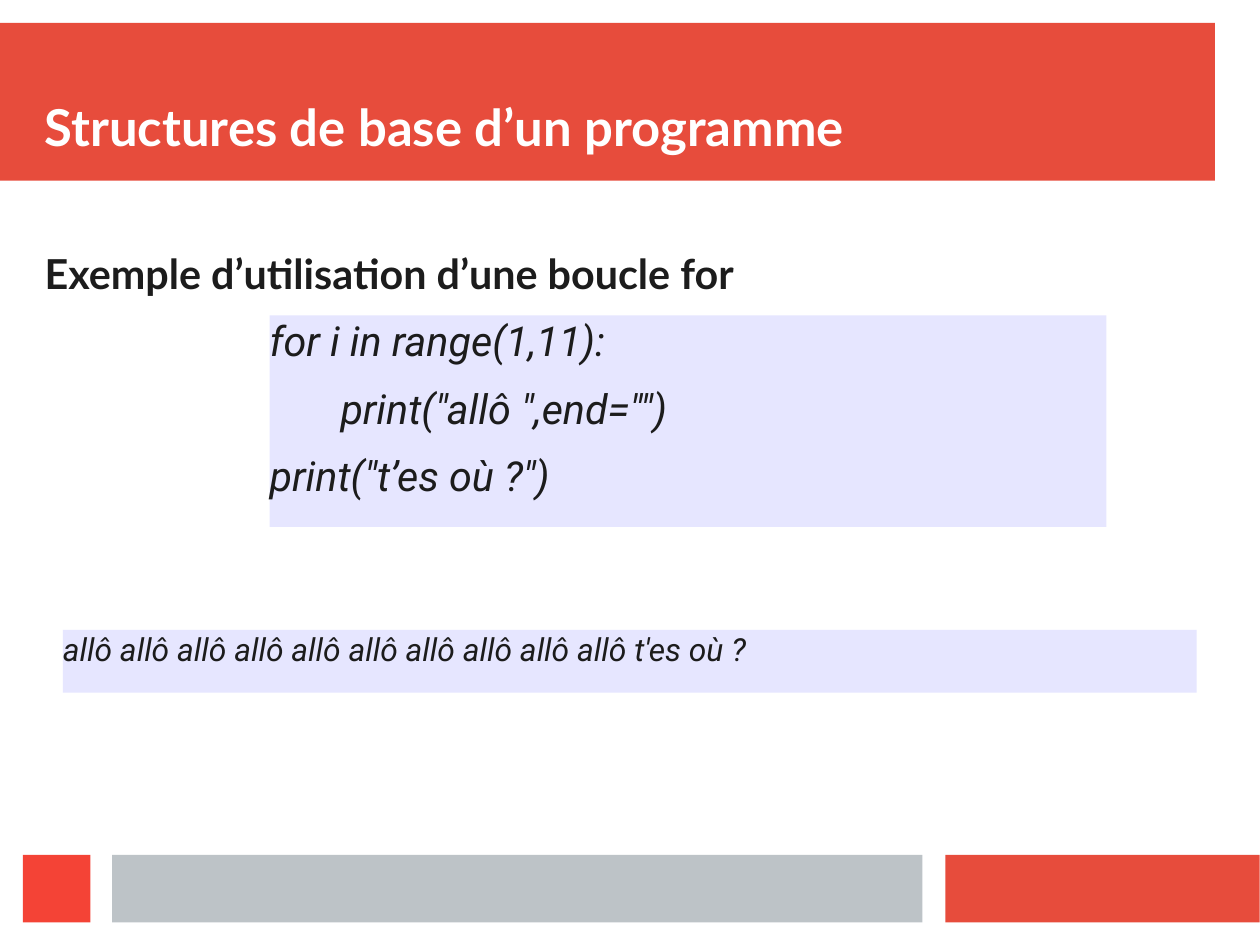
"""Build the slide on a basic for loop and its output."""
from pptx import Presentation
from pptx.dml.color import RGBColor
from pptx.enum.shapes import MSO_SHAPE
from pptx.enum.text import MSO_ANCHOR, PP_ALIGN
from pptx.util import Cm, Inches, Pt

RECT = MSO_SHAPE.RECTANGLE
TOP, BOTTOM = MSO_ANCHOR.TOP, MSO_ANCHOR.BOTTOM
LEFT = PP_ALIGN.LEFT
CORAL = RGBColor(0xE7, 0x4C, 0x3C)
RED = RGBColor(0xF4, 0x43, 0x36)
GREY = RGBColor(0xBD, 0xC3, 0xC7)
LILAC = RGBColor(0xE6, 0xE6, 0xFF)
INK = RGBColor(0x1C, 0x1C, 0x1C)
WHITE = RGBColor(0xFF, 0xFF, 0xFF)

TITLE = "Structures de base d’un programme"
HEAD = "Exemple d’utilisation d’une boucle for"
CODE = [
    "for i in range(1,11):",
    '       print("allô ",end="")',
    'print("t’es où ?")',
]
OUTPUT = ["allô allô allô allô allô allô allô allô allô allô t'es où ?"]
BARS = [
    ((0, 0.2, 10.63, 1.38), CORAL),
    ((8.27, 7.48, 2.75, 0.59), CORAL),
    ((0.98, 7.48, 7.09, 0.59), GREY),
    ((0.2, 7.48, 0.59, 0.59), RED),
]
PANELS = [
    ((2.36, 2.76, 7.32, 1.85), CODE, 26),
    ((0.55, 5.51, 9.92, 0.55), OUTPUT, 20),
]


def add_rect(slide, box, fill):
    """Add a plain filled rectangle."""
    shape = slide.shapes.add_shape(RECT, *map(Inches, box))
    shape.shadow.inherit = False
    shape.fill.solid()
    shape.fill.fore_color.rgb = fill
    shape.line.fill.background()
    return shape


def write(shape, lines, size, name, color, bold=False, italic=False, anchor=TOP):
    """Fill a shape with left-aligned lines of one style."""
    frame = shape.text_frame
    frame.word_wrap = True
    frame.vertical_anchor = anchor
    frame.margin_left = frame.margin_right = 0
    frame.margin_top = frame.margin_bottom = 0
    for i, line in enumerate(lines):
        para = frame.add_paragraph() if i else frame.paragraphs[0]
        para.alignment = LEFT
        para.space_before = Pt(0)
        para.space_after = Pt(11.4)
        run = para.add_run()
        run.text = line
        font = run.font
        font.name, font.size = name, Pt(size)
        font.bold, font.italic = bold, italic
        font.color.rgb = color


def main():
    """Build and save the slide."""
    deck = Presentation()
    deck.slide_width, deck.slide_height = Cm(28), Cm(21)
    slide = deck.slides.add_slide(deck.slide_layouts[5])
    for box, fill in BARS:
        add_rect(slide, box, fill)

    title = slide.shapes.title
    title.left, title.top = Inches(0.39), Inches(0.39)
    title.width, title.height = Inches(10.24), Inches(0.98)
    title.element.getparent().append(title.element)
    write(title, [TITLE], 32, "Lato", WHITE, bold=True, anchor=BOTTOM)

    head = slide.shapes.add_textbox(*map(Inches, (0.39, 2.17, 10.04, 0.55)))
    write(head, [HEAD], 26, "Lato", INK, bold=True)
    for box, lines, size in PANELS:
        panel = add_rect(slide, box, LILAC)
        write(panel, lines, size, "Roboto", INK, italic=True)
    deck.save("out.pptx")


if __name__ == "__main__":
    main()
